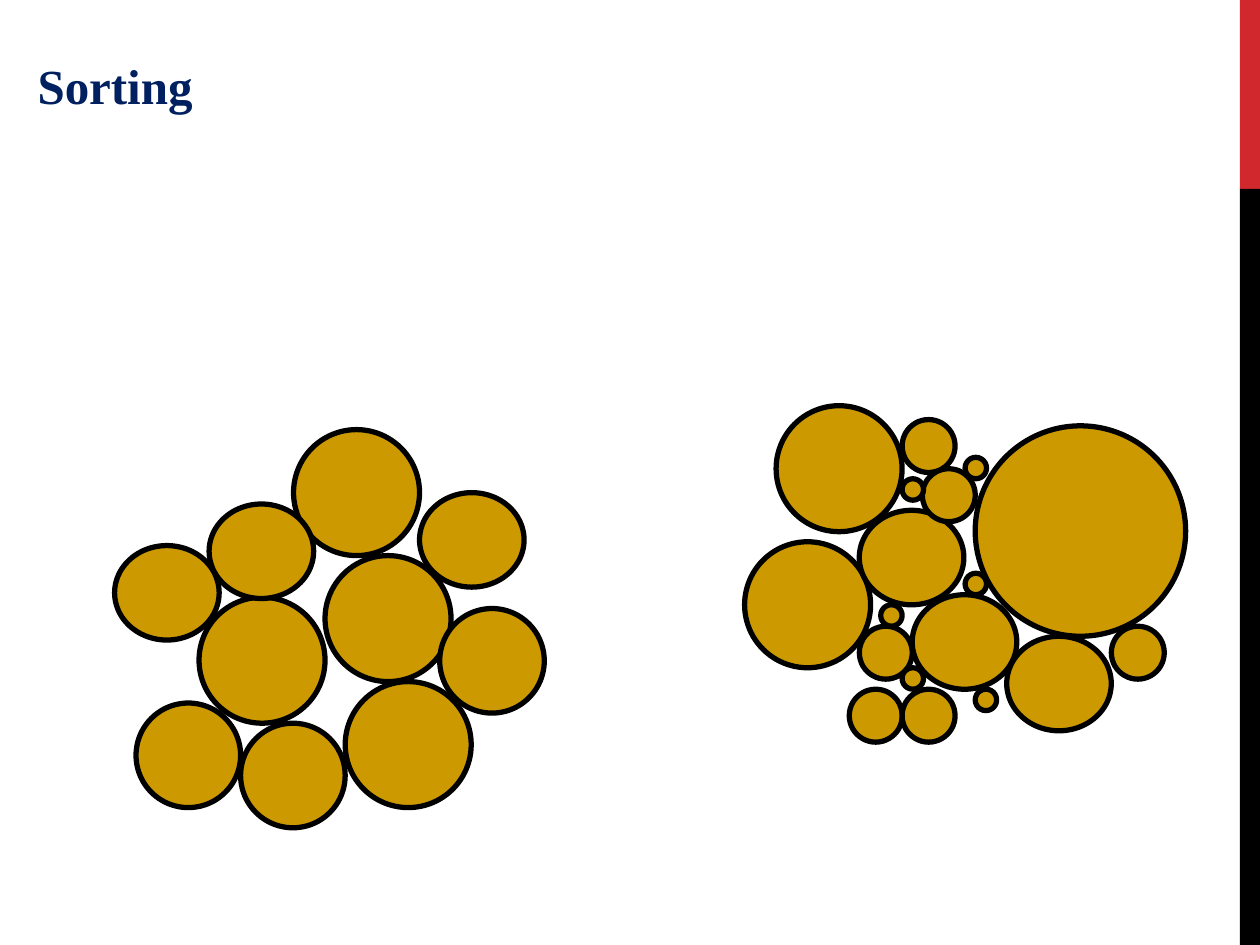
from pptx import Presentation
from pptx.dml.color import RGBColor
from pptx.enum.shapes import MSO_SHAPE
from pptx.enum.text import MSO_ANCHOR
from pptx.util import Inches, Pt

RECTANGLE = MSO_SHAPE.RECTANGLE
OVAL = MSO_SHAPE.OVAL
MIDDLE = MSO_ANCHOR.MIDDLE

TITLE = "Sorting"
TITLE_FORMAT = {"name": "Times New Roman", "size": Pt(28), "bold": True}
SIDE_BARS = [("D1282E", 0, 1.5), ("000000", 1.5, 6)]

GRAINS = [
    ((1, 1), [(1.58, 4.74), (2.58, 4.41), (2.74, 5.41), (2.33, 3.41),
              (6.16, 3.22), (5.91, 4.3)]),
    ((0.83, 0.75), [(3.33, 3.91), (1.66, 4), (0.91, 4.33),
                    (6.82, 4.05), (7.24, 4.72), (7.99, 5.05)]),
    ((0.83, 0.83), [(3.49, 4.83), (1.91, 5.74), (1.08, 5.58)]),
    ((1.67, 1.67), [(7.74, 3.38)]),
    ((0.42, 0.42), [(6.74, 5.47), (6.82, 4.97), (8.82, 4.97),
                    (7.16, 3.33), (7.16, 5.47), (7.32, 3.72)]),
    ((0.17, 0.17), [(7.74, 5.47), (7.16, 3.8), (7.66, 3.63),
                    (6.99, 4.8), (7.16, 5.3), (7.66, 4.55)]),
]


def color(value):
    return RGBColor.from_string(value)


def add_filled(page, kind, left, top, width, height, fill):
    shape = page.shapes.add_shape(
        kind, Inches(left), Inches(top), Inches(width), Inches(height))
    shape.shadow.inherit = False
    shape.fill.solid()
    shape.fill.fore_color.rgb = color(fill)
    return shape


def add_title(page):
    box = page.shapes.add_textbox(
        Inches(0.2), Inches(0.21), Inches(2.6), Inches(1))
    frame = box.text_frame
    frame.word_wrap = True
    frame.vertical_anchor = MIDDLE
    para = frame.paragraphs[0]
    para.line_spacing = 0.85
    span = para.add_run()
    span.text = TITLE
    for name, value in TITLE_FORMAT.items():
        setattr(span.font, name, value)
    span.font.color.rgb = color("002060")


def main():
    deck = Presentation()
    deck.slide_width, deck.slide_height = Inches(10), Inches(7.5)
    page = deck.slides.add_slide(deck.slide_layouts[6])
    for fill, top, height in SIDE_BARS:
        bar = add_filled(page, RECTANGLE, 9.84, top, 0.16, height, fill)
        bar.line.fill.background()
    add_title(page)
    for (width, height), places in GRAINS:
        for left, top in places:
            grain = add_filled(page, OVAL, left, top, width, height, "CC9900")
            grain.line.color.rgb = color("000000")
            grain.line.width = Pt(3)
    deck.save("out.pptx")


if __name__ == "__main__":
    main()
